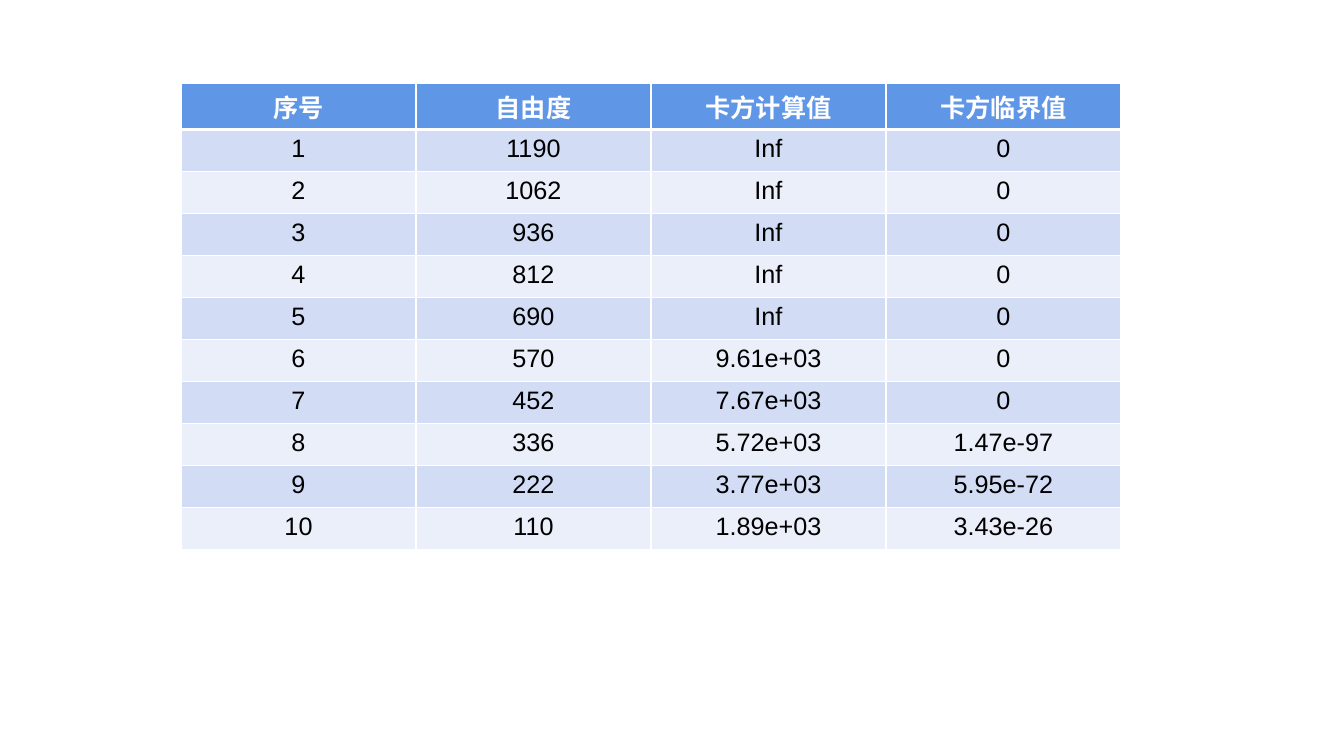
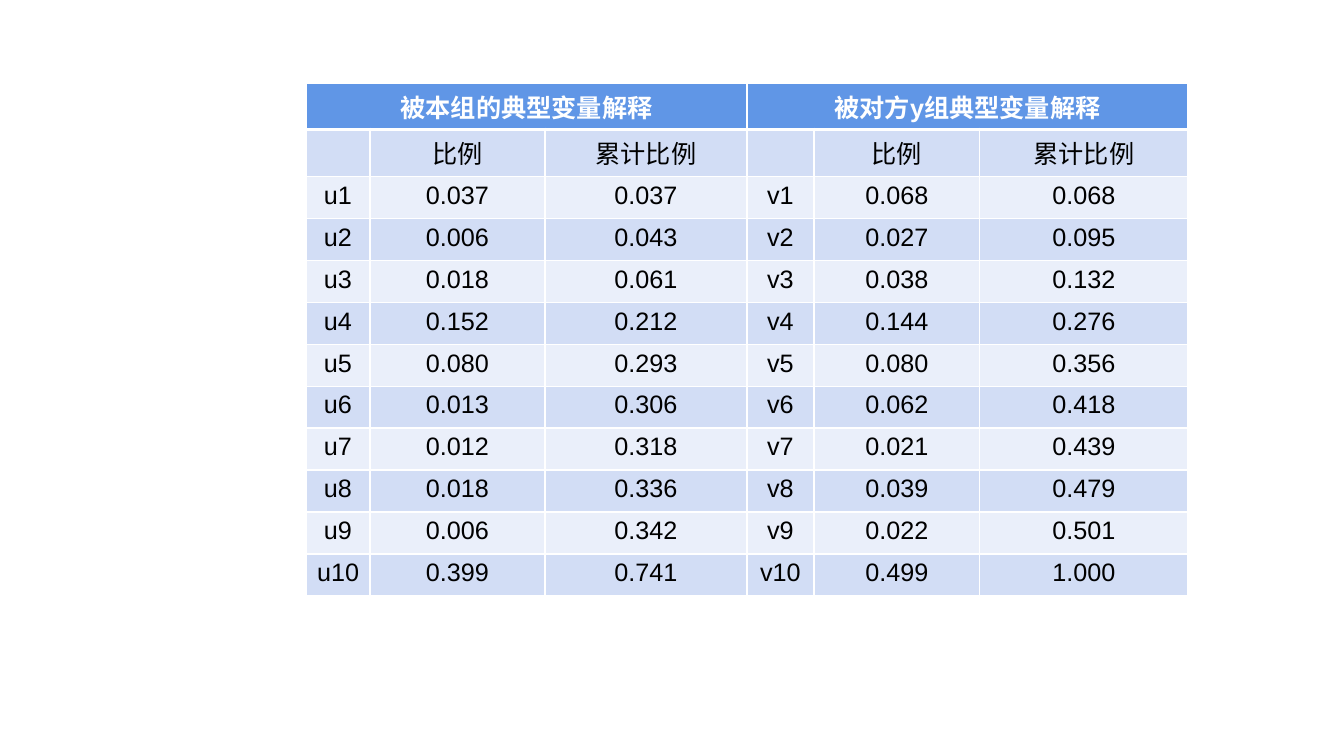
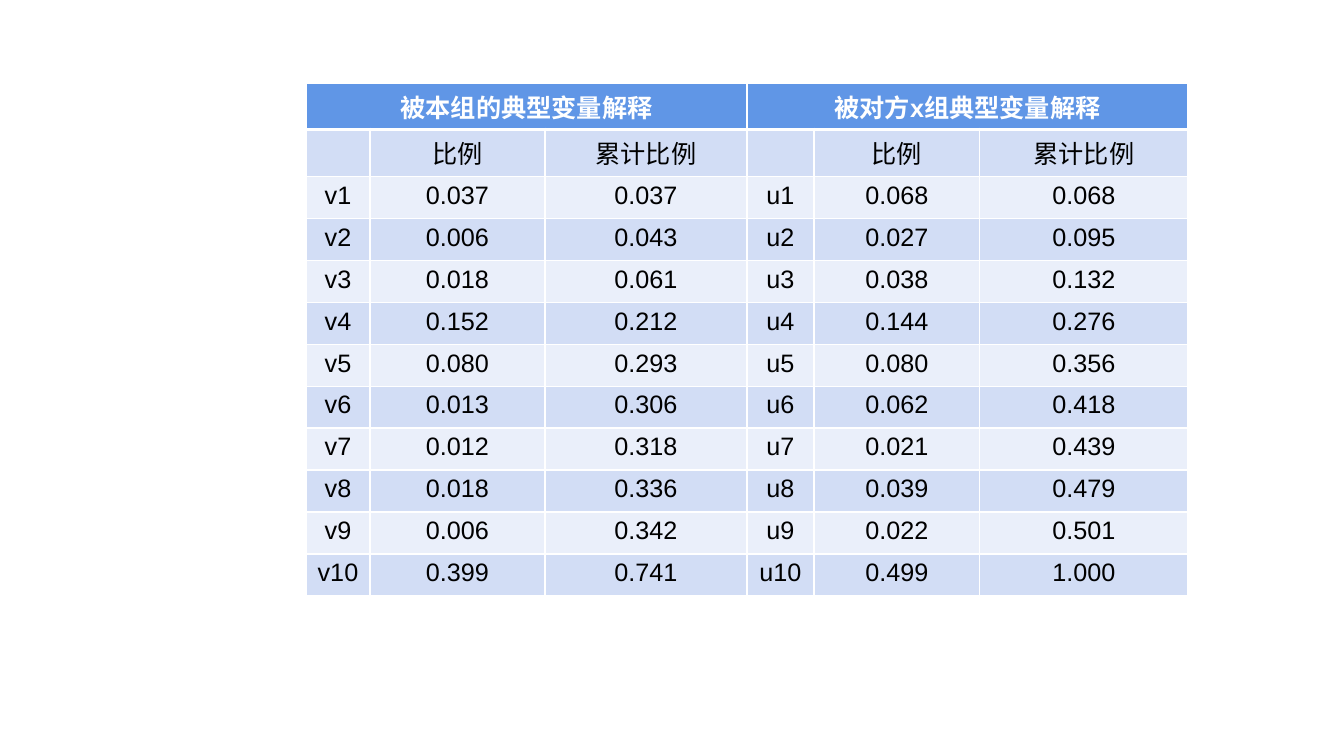
from dataclasses import dataclass

from lxml import etree
from pptx import Presentation
from pptx.dml.color import RGBColor
from pptx.enum.text import PP_ALIGN
from pptx.oxml.ns import qn
from pptx.presentation import Presentation as Deck
from pptx.table import _Cell
from pptx.util import Emu, Pt

CENTER = PP_ALIGN.CENTER
SLIDE_W, SLIDE_H = 1344, 756
EMU_PER_PX = 12192000 / SLIDE_W
BLANK_LAYOUT = 6


@dataclass(frozen=True)
class Theme:
    font: str = "Arial"
    size: int = 18
    header: str = "6096E6"
    bands: tuple[str, str] = ("D2DDF5", "EAEFFA")
    header_text: str = "FFFFFF"
    body_text: str = "000000"
    border: str = "FFFFFF"
    thin: int = 1
    thick: int = 3


@dataclass(frozen=True)
class TableSpec:
    left: int
    columns: tuple[int, ...]
    rows: list[tuple[str, ...]]
    header_span: int = 1
    top: int = 83
    row_height: int = 42


THEME = Theme()

CHI_SQUARE_ROWS = [
    ("序号", "自由度", "卡方计算值", "卡方临界值"),
    ("1", "1190", "Inf", "0"),
    ("2", "1062", "Inf", "0"),
    ("3", "936", "Inf", "0"),
    ("4", "812", "Inf", "0"),
    ("5", "690", "Inf", "0"),
    ("6", "570", "9.61e+03", "0"),
    ("7", "452", "7.67e+03", "0"),
    ("8", "336", "5.72e+03", "1.47e-97"),
    ("9", "222", "3.77e+03", "5.95e-72"),
    ("10", "110", "1.89e+03", "3.43e-26"),
]

EXPLAINED_SHARES = [
    ("0.037", "0.037", "0.068", "0.068"),
    ("0.006", "0.043", "0.027", "0.095"),
    ("0.018", "0.061", "0.038", "0.132"),
    ("0.152", "0.212", "0.144", "0.276"),
    ("0.080", "0.293", "0.080", "0.356"),
    ("0.013", "0.306", "0.062", "0.418"),
    ("0.012", "0.318", "0.021", "0.439"),
    ("0.018", "0.336", "0.039", "0.479"),
    ("0.006", "0.342", "0.022", "0.501"),
    ("0.399", "0.741", "0.499", "1.000"),
]


def px(length: int) -> Emu:
    return Emu(round(length * EMU_PER_PX))


def explained_table(own: str, other: str, other_group: str) -> TableSpec:
    titles = ("被本组的典型变量解释", "", "", f"被对方{other_group}组典型变量解释", "", "")
    labels = ("", "比例", "累计比例") * 2
    shares = [
        (f"{own}{n}", own_share, own_total, f"{other}{n}", other_share, other_total)
        for n, (own_share, own_total, other_share, other_total)
        in enumerate(EXPLAINED_SHARES, start=1)
    ]
    return TableSpec(306, (64, 175, 202, 67, 166, 208), [titles, labels, *shares], header_span=3)


def set_borders(cell: _Cell, top: int, bottom: int) -> None:
    tc_pr = cell._tc.get_or_add_tcPr()
    widths = {"a:lnL": THEME.thin, "a:lnR": THEME.thin, "a:lnT": top, "a:lnB": bottom}
    for tag, width in widths.items():
        line = etree.SubElement(tc_pr, qn(tag), w=str(Pt(width)))
        fill = etree.SubElement(line, qn("a:solidFill"))
        etree.SubElement(fill, qn("a:srgbClr"), val=THEME.border)


def style_cell(cell: _Cell, text: str, row: int) -> None:
    is_header = row == 0
    set_borders(
        cell,
        top=THEME.thick if row == 1 else THEME.thin,
        bottom=THEME.thick if is_header else THEME.thin,
    )
    fill = THEME.header if is_header else THEME.bands[(row - 1) % 2]
    cell.fill.solid()
    cell.fill.fore_color.rgb = RGBColor.from_string(fill)
    cell.text = text
    p = cell.text_frame.paragraphs[0]
    p.alignment = CENTER
    p.font.name = THEME.font
    p.font.size = Pt(THEME.size)
    p.font.bold = is_header
    color = THEME.header_text if is_header else THEME.body_text
    p.font.color.rgb = RGBColor.from_string(color)


def add_table_slide(prs: Deck, spec: TableSpec) -> None:
    s = prs.slides.add_slide(prs.slide_layouts[BLANK_LAYOUT])
    table = s.shapes.add_table(
        len(spec.rows), len(spec.columns), px(spec.left), px(spec.top),
        px(sum(spec.columns)), px(spec.row_height * len(spec.rows)),
    ).table
    for column, width in zip(table.columns, spec.columns):
        column.width = px(width)
    for row, texts in enumerate(spec.rows):
        table.rows[row].height = px(spec.row_height)
        for col, text in enumerate(texts):
            style_cell(table.cell(row, col), text, row)
    if spec.header_span > 1:
        for col in range(0, len(spec.columns), spec.header_span):
            table.cell(0, col).merge(table.cell(0, col + spec.header_span - 1))


def main() -> None:
    prs = Presentation()
    prs.slide_width, prs.slide_height = px(SLIDE_W), px(SLIDE_H)
    for spec in (
        TableSpec(181, (235,) * 4, CHI_SQUARE_ROWS),
        explained_table("u", "v", "y"),
        explained_table("v", "u", "x"),
    ):
        add_table_slide(prs, spec)
    prs.save("out.pptx")


main()
